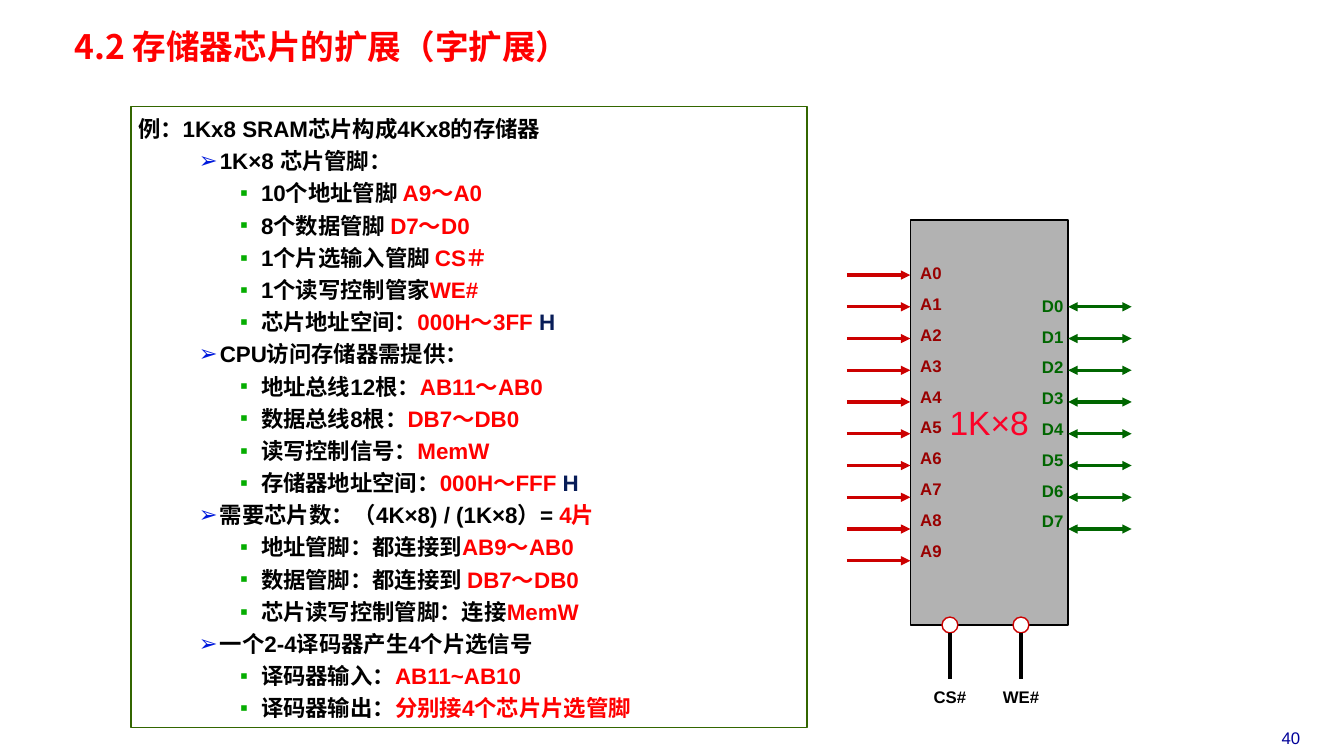
"""Build the slide on word expansion of memory chips."""
from lxml import etree
from pptx import Presentation
from pptx.dml.color import RGBColor
from pptx.enum import shapes, text
from pptx.oxml import ns
from pptx.util import Cm, Pt

COLORS = {
    "black": "000000", "white": "FFFFFF", "red": "FF0000", "navy": "081D58",
    "number": "000099", "chip": "B2B2B2", "chip_name": "FC0128",
    "address_pin": "CC0000", "address_label": "990000", "data": "006600",
    "frame": "336600", "arrow_bullet": "001ADC", "square_bullet": "05AD01",
}


def add_run(paragraph, wording, size, color, bold=True, font="Arial"):
    run = paragraph.add_run()
    run.text = wording
    run.font.size = Pt(size)
    run.font.bold = bold
    run.font.name = font
    run.font.color.rgb = RGBColor.from_string(COLORS[color])
    east_asian = etree.SubElement(run.font._element, ns.qn("a:ea"))
    east_asian.set("typeface", "Noto Sans CJK SC")


def add_line(start, end, color, arrowheads=()):
    line = slide.shapes.add_connector(
        shapes.MSO_CONNECTOR.STRAIGHT, *[Cm(value) for value in start + end])
    line.line.width = Pt(2.25)
    line.line.color.rgb = RGBColor.from_string(COLORS[color])
    outline = line.line._get_or_add_ln()
    for arrowhead in arrowheads:
        etree.SubElement(outline, ns.qn(f"a:{arrowhead}")).set("type", "triangle")
    etree.SubElement(line._element.spPr, ns.qn("a:effectLst"))


presentation = Presentation()
presentation.slide_width = Cm(33.87)
presentation.slide_height = Cm(19.05)
slide = presentation.slides.add_slide(presentation.slide_layouts[5])

title = slide.shapes.title
title.left, title.top, title.width, title.height = Cm(1.7), Cm(0.71), Cm(14.6), Cm(1.04)
frame = title.text_frame
frame.margin_left = frame.margin_right = Cm(0.18)
frame.margin_top = frame.margin_bottom = Cm(0.08)
frame.vertical_anchor = text.MSO_ANCHOR.MIDDLE
frame.word_wrap = True
paragraph = frame.paragraphs[0]
paragraph.alignment = text.PP_ALIGN.LEFT
paragraph.line_spacing = 0.87
add_run(paragraph, "4.2 存储器芯片的扩展（字扩展）", 24, "red", font="Noto Sans CJK SC")

CHIP_LEFT, CHIP_TOP, CHIP_WIDTH, CHIP_HEIGHT = 22.94, 5.54, 3.98, 10.21
CHIP_RIGHT = CHIP_LEFT + CHIP_WIDTH
CHIP_BOTTOM = CHIP_TOP + CHIP_HEIGHT
PIN_LENGTH, PIN_PITCH, FIRST_PIN = 1.6, 0.8, 6.93

chip = slide.shapes.add_shape(
    shapes.MSO_SHAPE.RECTANGLE, Cm(CHIP_LEFT), Cm(CHIP_TOP), Cm(CHIP_WIDTH), Cm(CHIP_HEIGHT))
chip.shadow.inherit = False
chip.fill.solid()
chip.fill.fore_color.rgb = RGBColor.from_string(COLORS["chip"])
chip.line.color.rgb = RGBColor.from_string(COLORS["black"])
chip.line.width = Pt(1)
chip.text_frame.word_wrap = False
chip.text_frame.vertical_anchor = text.MSO_ANCHOR.MIDDLE
chip.text_frame.paragraphs[0].alignment = text.PP_ALIGN.CENTER
add_run(chip.text_frame.paragraphs[0], "1K×8", 24, "chip_name", bold=False)

for index in range(10):
    height = FIRST_PIN + index * PIN_PITCH
    add_line((CHIP_LEFT - PIN_LENGTH, height), (CHIP_LEFT, height), "address_pin", ["tailEnd"])
for index in range(1, 9):
    height = FIRST_PIN + index * PIN_PITCH
    add_line((CHIP_RIGHT, height), (CHIP_RIGHT + PIN_LENGTH, height), "data",
             ["headEnd", "tailEnd"])

labels = [
    ([f"A{index}" for index in range(10)], 22.94, 6.53, 1.19, 8, "address_label", True, 0.1),
    ([f"D{index}" for index in range(8)], 25.73, 7.32, 1.6, 6.45, "data", True, 0.25),
    (["40"], 31.34, 18.21, 2.39, 0.76, "number", False, 0.25),
]
for name, center in (("CS#", 23.94), ("WE#", 25.73)):
    circle = slide.shapes.add_shape(
        shapes.MSO_SHAPE.OVAL, Cm(center - 0.2), Cm(CHIP_BOTTOM - 0.2), Cm(0.4), Cm(0.4))
    circle.shadow.inherit = False
    circle.fill.solid()
    circle.fill.fore_color.rgb = RGBColor.from_string(COLORS["white"])
    circle.line.color.rgb = RGBColor.from_string(COLORS["address_pin"])
    circle.line.width = Pt(1)
    add_line((center, CHIP_BOTTOM + 0.2), (center, 17.12), "black")
    labels.append(([name], center - 0.8, 17.17, 1.6, 0.76, "black", True, 0.25))

for names, left, top, width, height, color, bold, margin in labels:
    label = slide.shapes.add_textbox(Cm(left), Cm(top), Cm(width), Cm(height))
    frame = label.text_frame
    frame.word_wrap = True
    frame.margin_left = Cm(margin)
    frame.margin_top = frame.margin_bottom = Cm(min(margin, 0.13))
    for index, name in enumerate(names):
        paragraph = frame.add_paragraph() if index else frame.paragraphs[0]
        paragraph.alignment = text.PP_ALIGN.CENTER
        paragraph.space_before = Pt(7.6 if index else 0)
        add_run(paragraph, name, 12, color, bold)

LEVELS = [
    (1.02, 1.02, None, None),
    (2.06, 0.53, "➢", "arrow_bullet"),
    (3.1, 0.53, "▪", "square_bullet"),
]
example = [
    (0, "例：1Kx8 SRAM芯片构成4Kx8的存储器"),
    (1, "1K×8 芯片管脚："),
    (2, "10个地址管脚 ", "A9～A0"),
    (2, "8个数据管脚 ", "D7～D0"),
    (2, "1个片选输入管脚 ", "CS＃"),
    (2, "1个读写控制管家", "WE#"),
    (2, "芯片地址空间：", "000H～3FF ", "H"),
    (1, "CPU访问存储器需提供："),
    (2, "地址总线12根：", "AB11～AB0"),
    (2, "数据总线8根：", "DB7～DB0"),
    (2, "读写控制信号：", "MemW"),
    (2, "存储器地址空间：", "000H～FFF ", "H"),
    (1, "需要芯片数：（4K×8) / (1K×8）= ", "4片"),
    (2, "地址管脚：都连接到", "AB9～AB0"),
    (2, "数据管脚：都连接到 ", "DB7～DB0"),
    (2, "芯片读写控制管脚：连接", "MemW"),
    (1, "一个2-4译码器产生4个片选信号"),
    (2, "译码器输入：", "AB11~AB10"),
    (2, "译码器输出：", "分别接4个芯片片选管脚"),
]
box = slide.shapes.add_shape(
    shapes.MSO_SHAPE.RECTANGLE, Cm(3.3), Cm(2.69), Cm(17.04), Cm(15.65))
box.shadow.inherit = False
box.fill.background()
box.line.color.rgb = RGBColor.from_string(COLORS["frame"])
box.line.width = Pt(1)
frame = box.text_frame
frame.word_wrap = True
frame.vertical_anchor = text.MSO_ANCHOR.TOP
frame.margin_left = frame.margin_right = Cm(0.18)
frame.margin_top = frame.margin_bottom = Cm(0.08)
for index, (level, *parts) in enumerate(example):
    paragraph = frame.add_paragraph() if index else frame.paragraphs[0]
    paragraph.alignment = text.PP_ALIGN.LEFT
    paragraph.level = level
    paragraph.line_spacing = Pt(23)
    margin, hanging, bullet, bullet_color = LEVELS[level]
    properties = paragraph._p.get_or_add_pPr()
    properties.set("marL", str(Cm(margin)))
    properties.set("indent", str(-Cm(hanging)))
    if bullet:
        tint = etree.SubElement(properties, ns.qn("a:buClr"))
        etree.SubElement(tint, ns.qn("a:srgbClr")).set("val", COLORS[bullet_color])
        etree.SubElement(properties, ns.qn("a:buFont")).set("typeface", "Arial")
        etree.SubElement(properties, ns.qn("a:buChar")).set("char", bullet)
    for part, color in zip(parts, ("black", "red", "navy")):
        add_run(paragraph, part, 16, color)

presentation.save("out.pptx")
